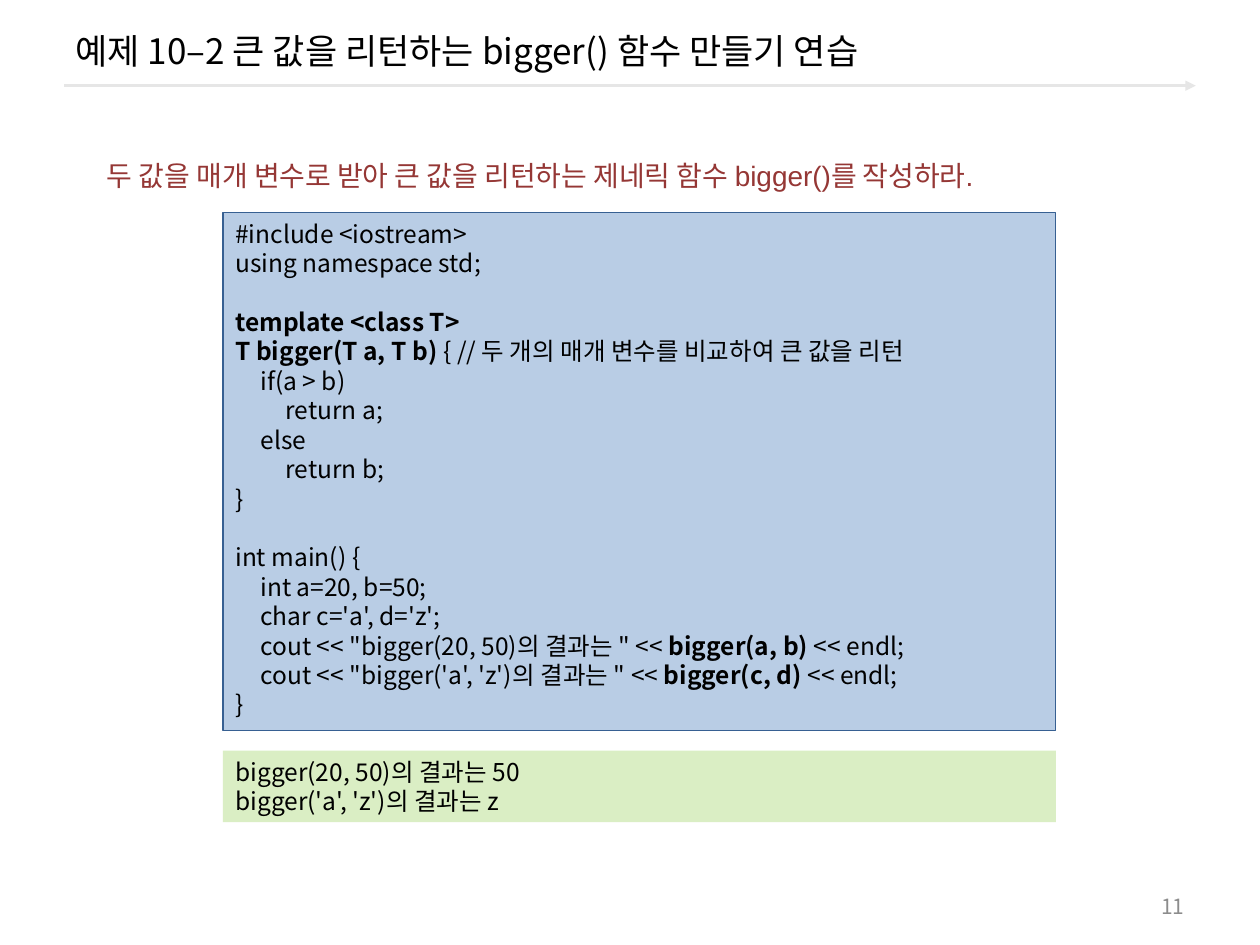
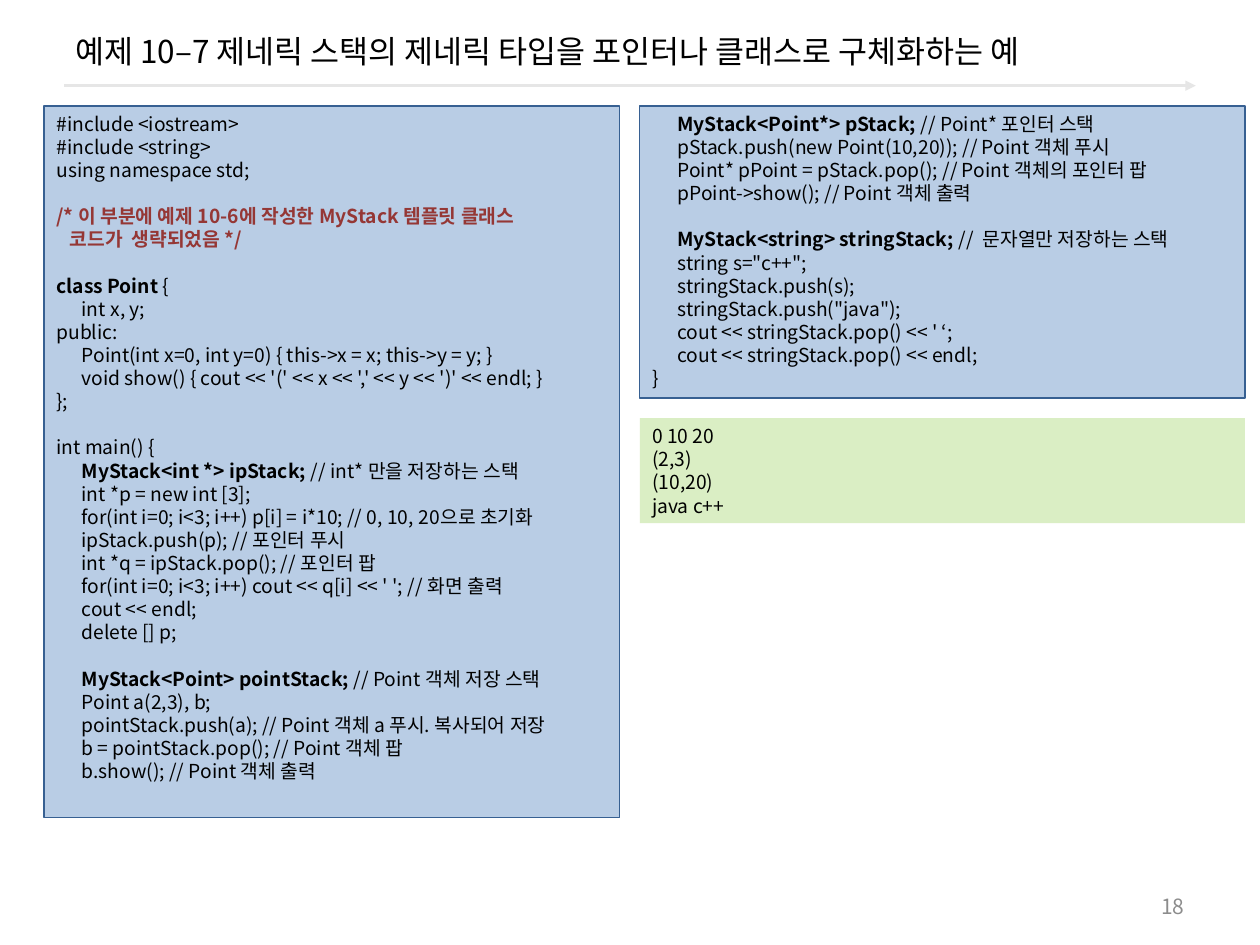
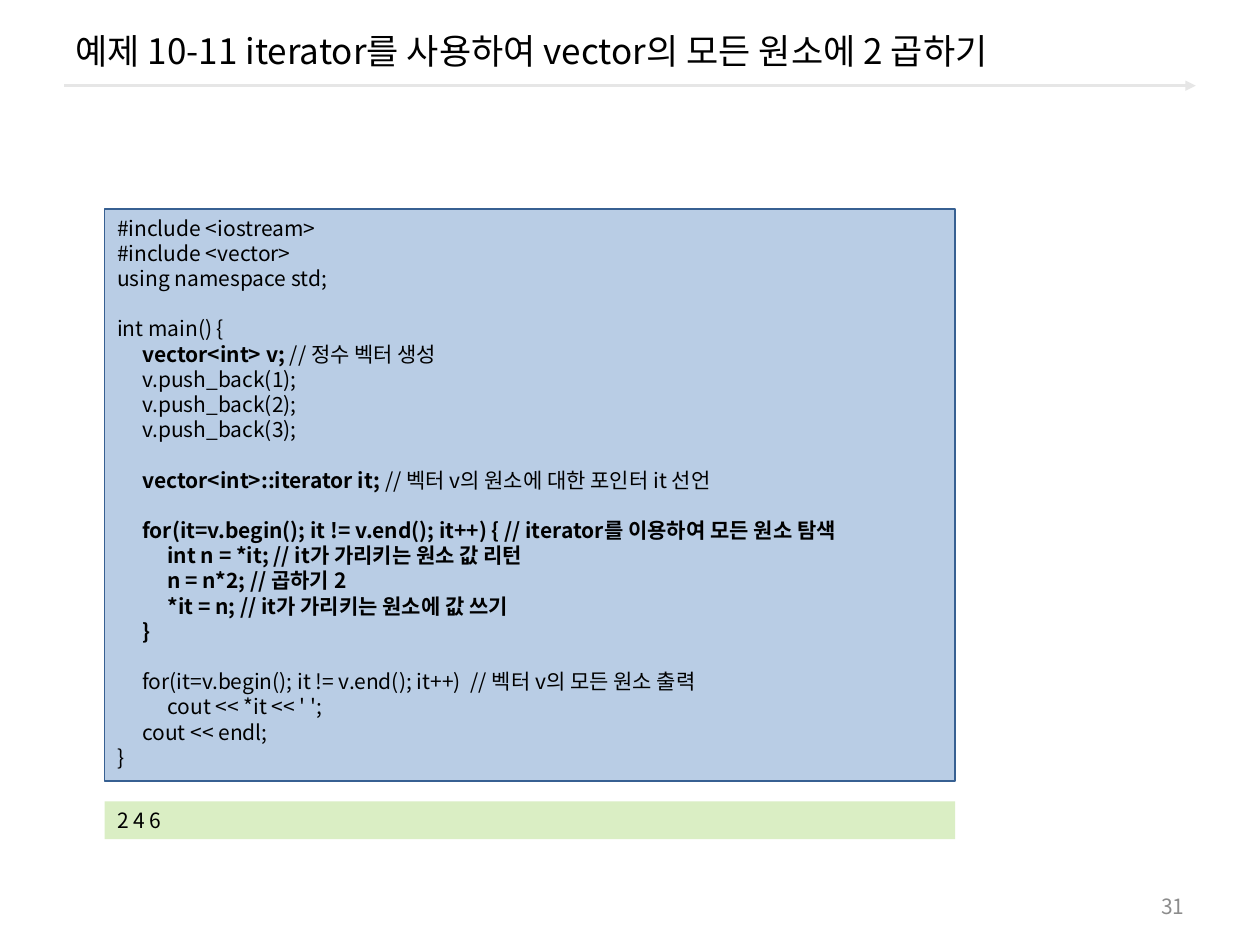
from lxml import etree
from pptx import Presentation
from pptx.dml.color import RGBColor
from pptx.enum import shapes, text
from pptx.oxml.ns import qn
from pptx.util import Pt

SANS = "Noto Sans CJK KR"
BLACK, ACCENT, NUMBER, RULE = "000000", "953735", "8C8C8C", "E6E6E6"
CODE_FILL, CODE_LINE, OUTPUT_FILL = "B9CDE5", "376092", "DAEEC4"
LEADING = 1.2
INDENT = 4
TAB_STEP = 14.4
PADDING = 3.6
OUTPUT_GAP = 11.5


def color(hex_string):
    return RGBColor.from_string(hex_string)


def with_tabs(line):
    """Turn each full leading indent step into a tab."""
    depth = (len(line) - len(line.lstrip(" "))) // INDENT
    return "\t" * depth + line[INDENT * depth:]


class Deck:
    """Holds the shared style and the current slide."""

    def __init__(self):
        self.presentation = Presentation()
        self.presentation.slide_width = Pt(720)
        self.presentation.slide_height = Pt(540)
        self.slide = None

    def add_slide(self, title, number, title_size=20):
        self.slide = self.presentation.slides.add_slide(self.presentation.slide_layouts[6])
        self.rule()
        self.label(title, 36, 5.8, 648, 46, title_size)
        self.label(number, 516, 506, 168, 23, 12, NUMBER, align=text.PP_ALIGN.RIGHT)

    def rule(self):
        line = self.slide.shapes.add_connector(
            shapes.MSO_CONNECTOR.STRAIGHT, Pt(36.7), Pt(49), Pt(683.3), Pt(49))
        line.line.color.rgb = color(RULE)
        line.line.width = Pt(1.5)
        properties = line._element.spPr
        etree.SubElement(properties.find(qn("a:ln")), qn("a:tailEnd"), type="triangle")
        etree.SubElement(properties, qn("a:effectLst"))

    def style(self, paragraph, size, hex_string=BLACK, name=SANS):
        paragraph.font.size = Pt(size)
        paragraph.font.color.rgb = color(hex_string)
        paragraph.font.name = name
        defaults = paragraph._p.get_or_add_pPr().find(qn("a:defRPr"))
        etree.SubElement(defaults, qn("a:ea"), typeface=SANS)

    def label(self, words, left, top, width, height, size, hex_string=BLACK, name=SANS,
              align=text.PP_ALIGN.LEFT, wrap=True):
        box = self.slide.shapes.add_textbox(Pt(left), Pt(top), Pt(width), Pt(height))
        frame = box.text_frame
        frame.word_wrap = wrap
        frame.vertical_anchor = text.MSO_ANCHOR.MIDDLE
        paragraph = frame.paragraphs[0]
        paragraph.text = words
        paragraph.alignment = align
        self.style(paragraph, size, hex_string, name)

    def panel(self, lines, left, top, width, height, size, fill, outline=None, accent_lines=()):
        """Draw a filled box of code lines; backticks enclose bold parts."""
        shape = self.slide.shapes.add_shape(
            shapes.MSO_SHAPE.RECTANGLE, Pt(left), Pt(top), Pt(width), Pt(height))
        shape.shadow.inherit = False
        shape.fill.solid()
        shape.fill.fore_color.rgb = color(fill)
        if outline:
            shape.line.color.rgb = color(outline)
            shape.line.width = Pt(0.75)
        else:
            shape.line.fill.background()
        frame = shape.text_frame
        frame.word_wrap = True
        frame.vertical_anchor = text.MSO_ANCHOR.TOP
        for index, line in enumerate(lines):
            paragraph = frame.add_paragraph() if index else frame.paragraphs[0]
            self.code_line(paragraph, line, size, ACCENT if index in accent_lines else BLACK)

    def code_line(self, paragraph, line, size, hex_string):
        paragraph.alignment = text.PP_ALIGN.LEFT
        paragraph.line_spacing = Pt(size * LEADING)
        tabs = etree.SubElement(paragraph._p.get_or_add_pPr(), qn("a:tabLst"))
        for step in (1, 2):
            etree.SubElement(tabs, qn("a:tab"), pos=str(Pt(TAB_STEP * step)), algn="l")
        self.style(paragraph, size, hex_string)
        for index, part in enumerate(with_tabs(line).split("`")):
            if part:
                run = paragraph.add_run()
                run.text = part
                if index % 2:
                    run.font.bold = True

    def code(self, source, left, top, width, height, size, output=None, accent_lines=()):
        """Draw a listing and, below it, the output it prints."""
        self.panel(source.strip("\n").split("\n"), left, top, width, height, size,
                   CODE_FILL, CODE_LINE, accent_lines)
        if output:
            output_height = len(output) * size * LEADING + 2 * PADDING
            self.panel(output, left, top + height + OUTPUT_GAP, width, output_height, size,
                       OUTPUT_FILL)


BIGGER = """
#include <iostream>
using namespace std;

`template <class T>`
`T bigger(T a, T b) `{ // 두 개의 매개 변수를 비교하여 큰 값을 리턴
    if(a > b)
        return a;
    else
        return b;
}

int main() {
    int a=20, b=50;
    char c='a', d='z';
    cout << "bigger(20, 50)의 결과는 " << `bigger(a, b) `<< endl;
    cout << "bigger('a', 'z')의 결과는 " << `bigger(c, d) `<< endl;
}
"""

STACK_LEFT = """
#include <iostream>
#include <string>
using namespace std;

`/* 이 부분에 예제 10-6에 작성한 MyStack 템플릿 클래스`
`   코드가  생략되었음 */`

`class Point `{
    int x, y;
public:
    Point(int x=0, int y=0) { this->x = x; this->y = y; }
    void show() { cout << '(' << x << ',' << y << ')' << endl; }
};

int main() {
    `MyStack<int *> ipStack; `// int* 만을 저장하는 스택
    int *p = new int [3];
    for(int i=0; i<3; i++) p[i] = i*10; // 0, 10, 20으로 초기화
    ipStack.push(p); // 포인터 푸시
    int *q = ipStack.pop(); // 포인터 팝
    for(int i=0; i<3; i++) cout << q[i] << ' '; // 화면 출력
    cout << endl;
    delete [] p;

    `MyStack<Point> pointStack; `// Point 객체 저장 스택
    Point a(2,3), b;
    pointStack.push(a); // Point 객체 a 푸시. 복사되어 저장
    b = pointStack.pop(); // Point 객체 팝
    b.show(); // Point 객체 출력
"""

STACK_RIGHT = """
    `MyStack<Point*> pStack; `// Point* 포인터 스택
    pStack.push(new Point(10,20)); // Point 객체 푸시
    Point* pPoint = pStack.pop(); // Point 객체의 포인터 팝
    pPoint->show(); // Point 객체 출력

    `MyStack<string> stringStack; `//  문자열만 저장하는 스택
    string s="c++";
    stringStack.push(s);
    stringStack.push("java");
    cout << stringStack.pop() << ' ‘;
    cout << stringStack.pop() << endl;
}
"""

ITERATOR = """
#include <iostream>
#include <vector>
using namespace std;

int main() {
    `vector<int> v; `// 정수 벡터 생성
    v.push_back(1);
    v.push_back(2);
    v.push_back(3);

    `vector<int>::iterator it; `// 벡터 v의 원소에 대한 포인터 it 선언

    `for(it=v.begin(); it != v.end(); it++) { // iterator를 이용하여 모든 원소 탐색`
        `int n = *it; // it가 가리키는 원소 값 리턴`
        `n = n*2; // 곱하기 2`
        `*it = n; // it가 가리키는 원소에 값 쓰기`
    `}`

    for(it=v.begin(); it != v.end(); it++)  // 벡터 v의 모든 원소 출력
        cout << *it << ' ';
    cout << endl;
}
"""


def main():
    deck = Deck()

    deck.add_slide("예제 10–2 큰 값을 리턴하는 bigger() 함수 만들기 연습", "11")
    deck.code(BIGGER, 127.4, 121.5, 476, 296, 14,
              output=["bigger(20, 50)의 결과는 50", "bigger('a', 'z')의 결과는 z"])
    deck.label("두 값을 매개 변수로 받아 큰 값을 리턴하는 제네릭 함수 bigger()를 작성하라.",
               54, 87, 574.5, 26.6, 16, ACCENT, "Arial", wrap=False)

    deck.add_slide("예제 10–7 제네릭 스택의 제네릭 타입을 포인터나 클래스로 구체화하는 예", "18",
                   title_size=18)
    deck.code(STACK_LEFT, 25.2, 60.5, 329, 406.8, 11, accent_lines=(4, 5))
    deck.code(STACK_RIGHT, 365.6, 60.5, 345.8, 167, 11,
              output=["0 10 20", "(2,3)", "(10,20)", "java c++"])

    deck.add_slide("예제 10-11 iterator를 사용하여 vector의 모든 원소에 2 곱하기", "31")
    deck.code(ITERATOR, 59.8, 119.4, 486, 327, 12, output=["2 4 6"])

    deck.presentation.save("out.pptx")


if __name__ == "__main__":
    main()
